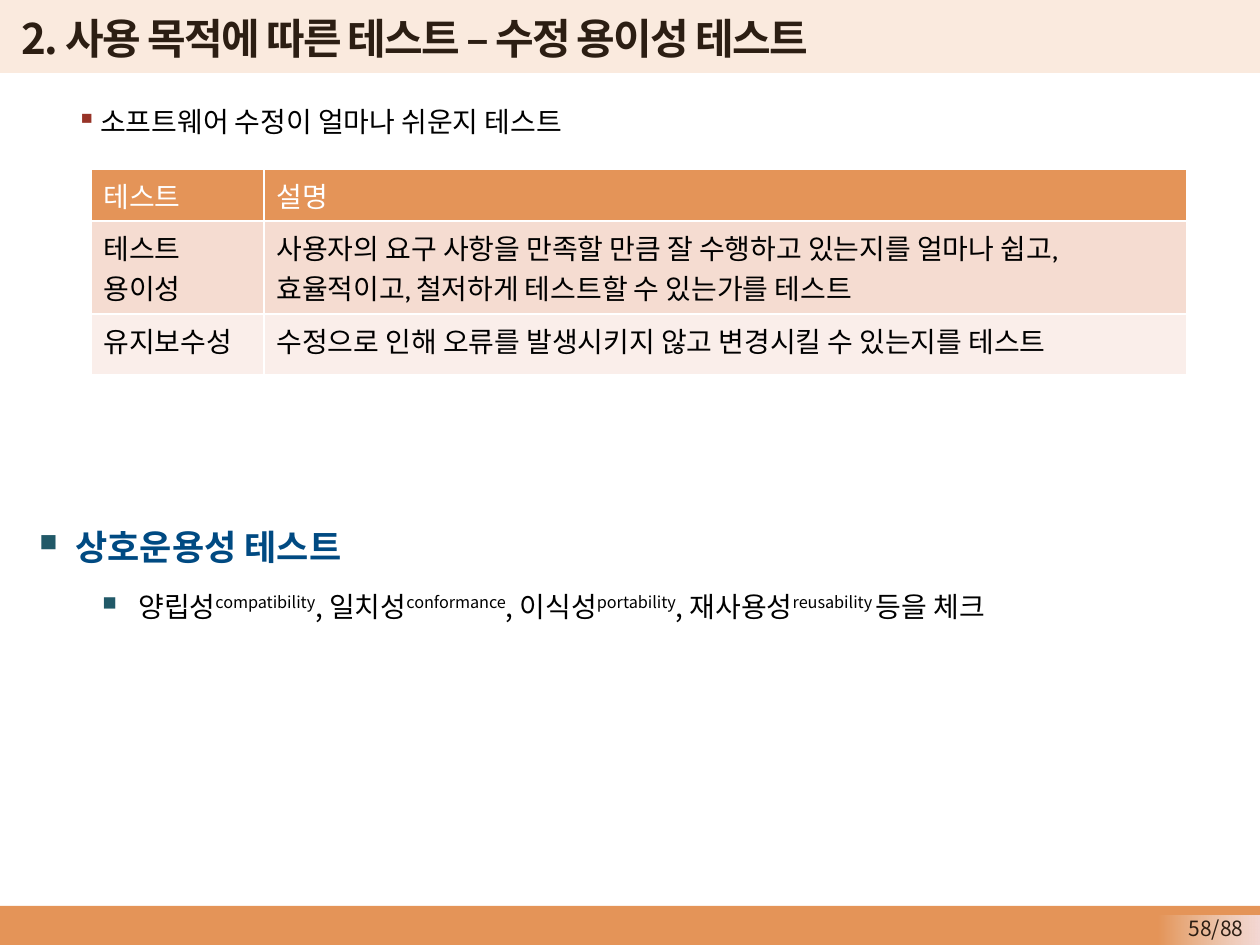
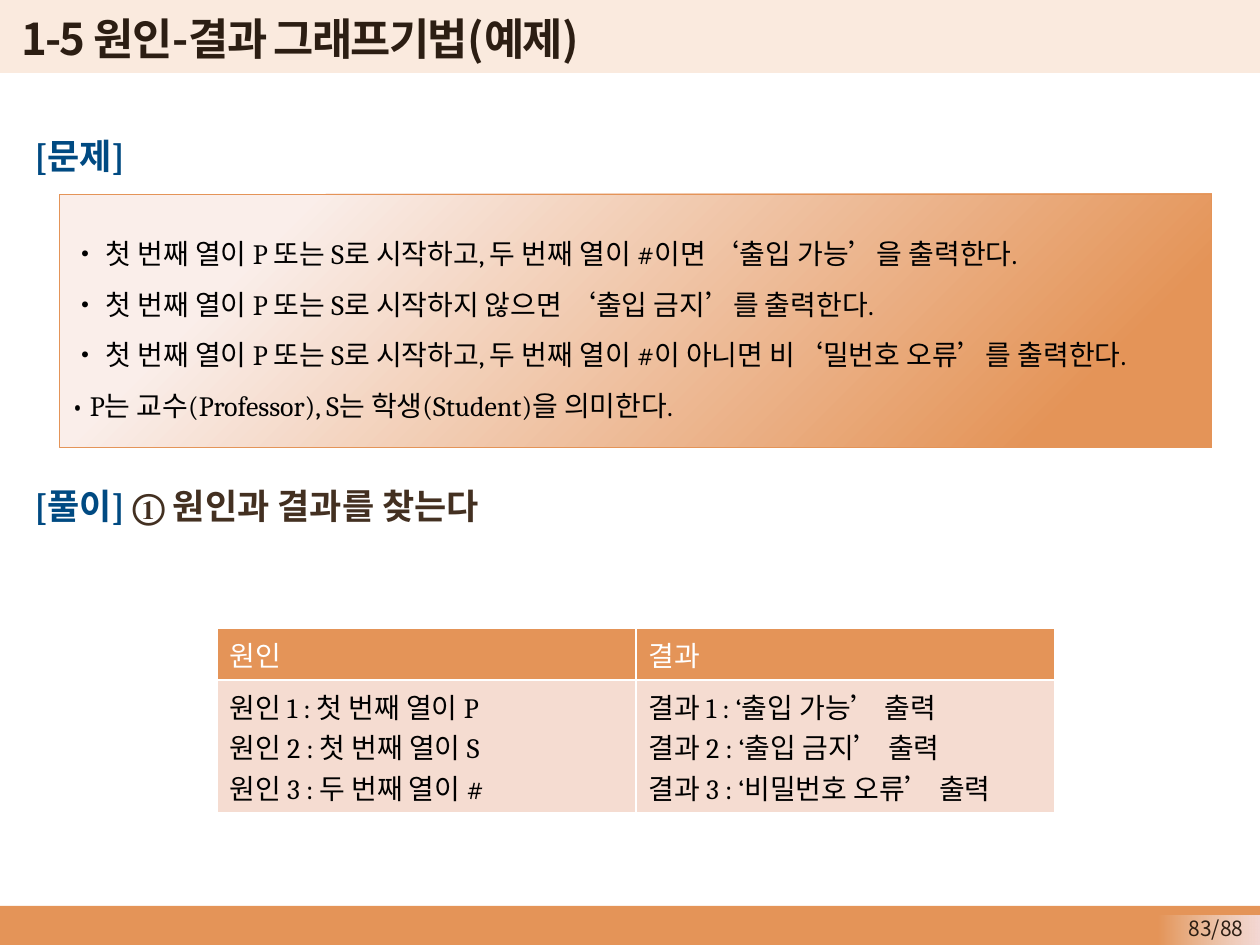
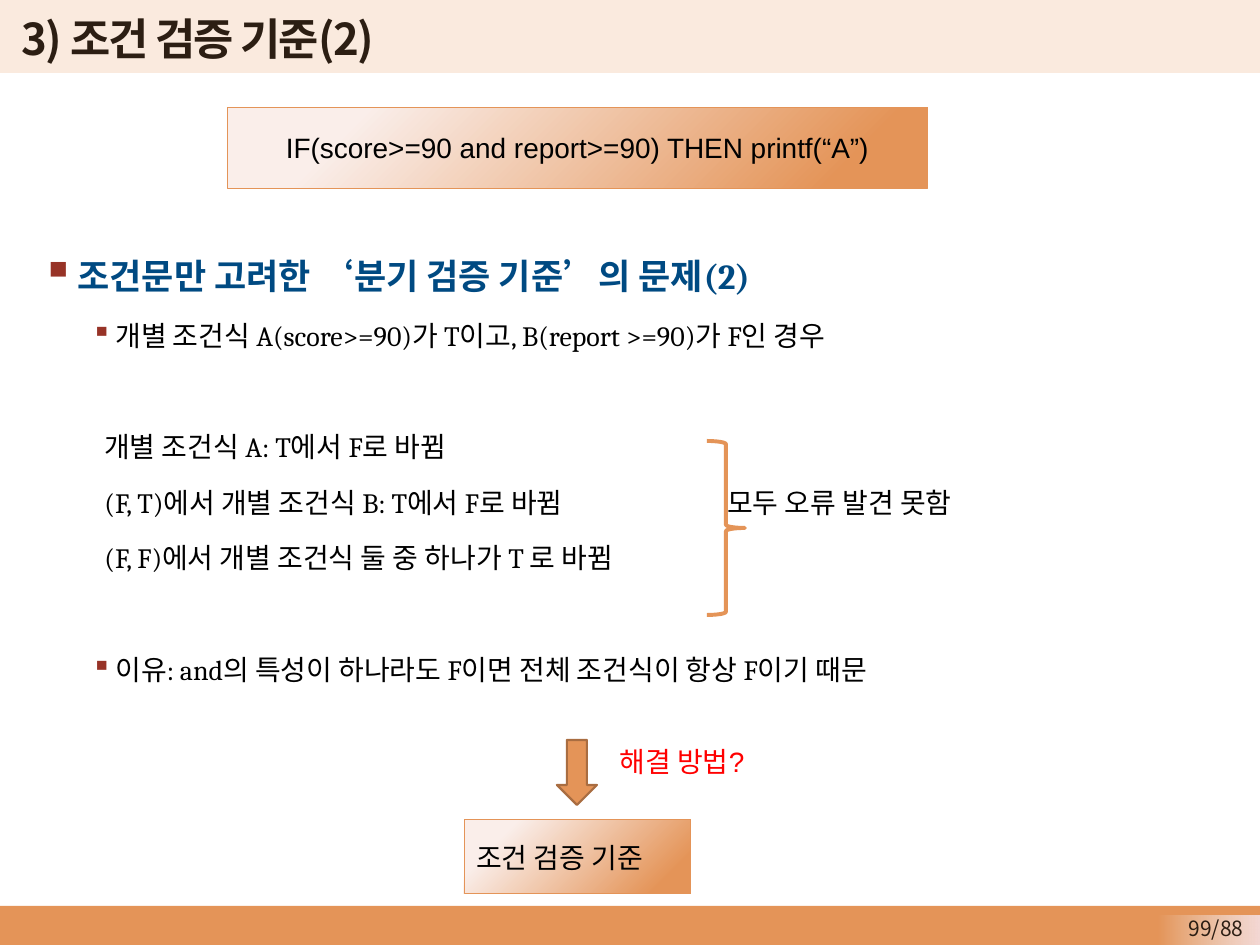
from dataclasses import dataclass, replace

from lxml.etree import SubElement
from pptx import Presentation
from pptx.dml.color import RGBColor
from pptx.enum.shapes import MSO_SHAPE
from pptx.enum.text import MSO_ANCHOR, PP_ALIGN
from pptx.oxml.ns import qn
from pptx.util import Emu, Pt

EMU_PER_INCH = 914400
PX_PER_INCH = 126
PAGE_WIDTH, PAGE_HEIGHT = 1260, 945
PAGE_TOTAL = 88

ORANGE = RGBColor(0xE4, 0x94, 0x58)
BROWN_LINE = RGBColor(0xA9, 0x6D, 0x41)
CREAM = RGBColor(0xFA, 0xEA, 0xDE)
PEACH = RGBColor(0xF5, 0xDC, 0xD1)
PALE = RGBColor(0xFA, 0xEE, 0xEA)
PINK = RGBColor(0xF4, 0xD9, 0xD6)
LIGHT_GRAY = RGBColor(0xF2, 0xF2, 0xF2)
DARK_BROWN = RGBColor(0x2C, 0x1E, 0x13)
BROWN = RGBColor(0x43, 0x30, 0x21)
NAVY = RGBColor(0x00, 0x4A, 0x82)
TEAL = RGBColor(0x21, 0x59, 0x68)
BRICK = RGBColor(0x97, 0x33, 0x27)
RED = RGBColor(0xFF, 0x00, 0x00)
BLACK = RGBColor(0x00, 0x00, 0x00)
WHITE = RGBColor(0xFF, 0xFF, 0xFF)

SANS = "Noto Sans CJK KR"
SERIF = "Cambria"


@dataclass(frozen=True)
class Style:
    """Look of one paragraph; margin and hanging are px, before is points."""
    size: int = 16
    font: str = SERIF
    color: RGBColor = BLACK
    bold: bool = False
    align: PP_ALIGN = PP_ALIGN.LEFT
    spacing: float = 1.0
    before: int = 0
    margin: int = 0
    hanging: int = 0
    bullet: str = ""
    bullet_color: RGBColor = BRICK
    bullet_size: int = 100
    tracking: int = 0


PLAIN = Style()
CENTERED = Style(font="Arial", align=PP_ALIGN.CENTER)
TITLE = Style(25, SANS, DARK_BROWN, True, tracking=-100)
PAGE_NUMBER = Style(12, SANS, DARK_BROWN, align=PP_ALIGN.RIGHT)
LABEL = Style(20, color=NAVY, bold=True, spacing=1.5, before=4, margin=13)
HEADING = replace(LABEL, margin=49, hanging=36, bullet="▪", bullet_size=130)
ITEM = Style(spacing=1.5, before=3, margin=87, hanging=24, bullet="▪")
CASE = Style(spacing=1.5, before=3, margin=76)
SQUARE_HEADING = replace(HEADING, font=SANS, bullet="■", bullet_color=TEAL, bullet_size=70)
SQUARE_ITEM = replace(SQUARE_HEADING, size=16, color=BLACK, bold=False, before=3, margin=112)


def px(length):
    """Turn px into EMU."""
    return Emu(round(length * EMU_PER_INCH / PX_PER_INCH))


def add_bullet(para, style):
    """Give the paragraph its coloured bullet."""
    props = para._p.get_or_add_pPr()
    color = SubElement(props, qn("a:buClr"))
    SubElement(color, qn("a:srgbClr"), val=str(style.bullet_color))
    size = SubElement(props, qn("a:buSzPct"), val=str(style.bullet_size * 1000))
    mark = SubElement(props, qn("a:buChar"), char=style.bullet)
    for part in (color, size, mark):
        para.font._element.addprevious(part)


def format_paragraph(para, style):
    """Apply a style to a paragraph."""
    font = para.font
    font.size, font.bold, font.name = Pt(style.size), style.bold, style.font
    font.color.rgb = style.color
    SubElement(font._element, qn("a:ea"), typeface=SANS)
    if style.tracking:
        font._element.set("spc", str(style.tracking))
    para.alignment = style.align
    para.line_spacing = style.spacing
    para.space_before = Pt(style.before)
    props = para._p.get_or_add_pPr()
    props.set("marL", str(px(style.margin)))
    props.set("indent", str(-px(style.hanging)))
    if style.bullet:
        add_bullet(para, style)


def write(frame, paragraphs):
    """Fill a text frame with (style, span, span, ...) paragraphs."""
    for number, (style, *spans) in enumerate(paragraphs):
        para = frame.add_paragraph() if number else frame.paragraphs[0]
        format_paragraph(para, style)
        for text in spans:
            para.add_run().text = text


def add_text(page, left, top, width, height, paragraphs, anchor=MSO_ANCHOR.TOP):
    """Add a wrapping text box and return its paragraphs."""
    frame = page.shapes.add_textbox(px(left), px(top), px(width), px(height)).text_frame
    frame.word_wrap = True
    frame.vertical_anchor = anchor
    write(frame, paragraphs)
    return frame.paragraphs


def add_preset(page, kind, left, top, width, height, fill=None, line=None, weight=1):
    """Add a flat preset shape."""
    shape = page.shapes.add_shape(kind, px(left), px(top), px(width), px(height))
    shape.shadow.inherit = False
    if fill is None:
        shape.fill.background()
    else:
        shape.fill.solid()
        shape.fill.fore_color.rgb = fill
    if line is None:
        shape.line.fill.background()
    else:
        shape.line.color.rgb = line
        shape.line.width = Pt(weight)
    return shape


def set_gradient(shape, angle, *stops):
    """Fill a shape with a linear gradient of two (position, colour) stops."""
    shape.fill.gradient()
    shape.fill.gradient_angle = angle
    for stop, (position, color) in zip(shape.fill.gradient_stops, stops):
        stop.position = position
        stop.color.rgb = color


def add_panel(page, left, top, width, height, paragraphs):
    """Add a gradient panel with text."""
    panel = add_preset(page, MSO_SHAPE.RECTANGLE, left, top, width, height, ORANGE, ORANGE, 0.5)
    set_gradient(panel, 315, (0.18, PALE), (0.87, ORANGE))
    panel.text_frame.word_wrap = True
    panel.text_frame.vertical_anchor = MSO_ANCHOR.MIDDLE
    write(panel.text_frame, paragraphs)


def fill_cell(cell, lines, fill, color):
    """Write a table cell with white borders."""
    props = cell._tc.get_or_add_tcPr()
    for side in ("lnL", "lnR", "lnT", "lnB"):
        border = SubElement(props, qn(f"a:{side}"), w=str(Pt(1)))
        SubElement(SubElement(border, qn("a:solidFill")), qn("a:srgbClr"), val=str(WHITE))
    cell.fill.solid()
    cell.fill.fore_color.rgb = fill
    write(cell.text_frame, [(replace(PLAIN, color=color), line) for line in lines.split("\n")])


def add_grid(page, left, top, widths, heights, rows):
    """Add a table with a header row and alternating body fills."""
    frame = page.shapes.add_table(len(heights), len(widths), px(left), px(top),
                                  px(sum(widths)), px(sum(heights)))
    table = frame.table
    table.first_row = table.horz_banding = False
    for column, width in zip(table.columns, widths):
        column.width = px(width)
    for number, (row, height, texts) in enumerate(zip(table.rows, heights, rows)):
        row.height = px(height)
        fill = (PEACH if number % 2 else PALE) if number else ORANGE
        for cell, text in zip(row.cells, texts):
            fill_cell(cell, text, fill, BLACK if number else WHITE)


def add_page(deck, title, number, title_style=TITLE):
    """Add a page with title band, footer band and page number."""
    page = deck.slides.add_slide(deck.slide_layouts[6])
    add_preset(page, MSO_SHAPE.RECTANGLE, 0, 906, PAGE_WIDTH, 39, ORANGE)
    add_preset(page, MSO_SHAPE.RECTANGLE, 0, 0, PAGE_WIDTH, 73, CREAM)
    chip = add_preset(page, MSO_SHAPE.RECTANGLE, 1159, 916, 101, 29, PINK)
    set_gradient(chip, 180, (0, PINK), (1, LIGHT_GRAY))
    SubElement(chip._element.xpath(".//a:gs/a:srgbClr")[1], qn("a:alpha"), val="0")
    add_text(page, 1140, 909, 116, 29, [(PAGE_NUMBER, f"{number}/{PAGE_TOTAL}")])
    add_text(page, 9, 5, 1222, 66, [(title_style, title)], MSO_ANCHOR.MIDDLE)
    return page


def build_modifiability(deck):
    """Build the page on modifiability tests."""
    page = add_page(deck, "2. 사용 목적에 따른 테스트 – 수정 용이성 테스트", 58, replace(TITLE, size=24))
    add_text(page, 1, 82, 1235, 70, [(ITEM, "소프트웨어 수정이 얼마나 쉬운지 테스트")])
    add_grid(page, 91, 169, (173, 923), (52, 93, 61), (
        ("테스트", "설명"),
        ("테스트\n용이성", "사용자의 요구 사항을 만족할 만큼 잘 수행하고 있는지를 얼마나 쉽고,\n"
                      "효율적이고, 철저하게 테스트할 수 있는가를 테스트"),
        ("유지보수성", "수정으로 인해 오류를 발생시키지 않고 변경시킬 수 있는지를 테스트"),
    ))
    checks = add_text(page, 14, 498, 1191, 134, [
        (SQUARE_HEADING, "상호운용성 테스트"),
        (SQUARE_ITEM, "양립성", "compatibility", ", 일치성", "conformance", ", 이식성",
         "portability", ", 재사용성", "reusability ", "등을 체크"),
    ])[1]
    for span in checks.runs[1::2]:
        span._r.get_or_add_rPr().set("baseline", "30000")


def build_cause_effect(deck):
    """Build the page with the cause-effect graph example."""
    page = add_page(deck, "1-5 원인-결과 그래프기법(예제)", 83)
    add_text(page, 9, 107, 1235, 75, [(LABEL, "[문제]")])
    rules = (
        "• 첫 번째 열이 P 또는 S로 시작하고, 두 번째 열이 #이면 ‘출입 가능’을 출력한다.",
        "• 첫 번째 열이 P 또는 S로 시작하지 않으면 ‘출입 금지’를 출력한다.",
        "• 첫 번째 열이 P 또는 S로 시작하고, 두 번째 열이 #이 아니면 비‘밀번호 오류’를 출력한다.",
        "• P는 교수(Professor), S는 학생(Student)을 의미한다.",
    )
    add_panel(page, 59, 194, 1153, 254, [(replace(PLAIN, spacing=1.5), rule) for rule in rules])
    solution = add_text(page, 9, 457, 1235, 75, [(LABEL, "[풀이] ", "① 원인과 결과를 찾는다")])[0]
    solution.runs[1].font.color.rgb = BROWN
    add_grid(page, 217, 628, (419, 419), (52, 133), (
        ("원인", "결과"),
        ("원인 1 : 첫 번째 열이 P\n원인 2 : 첫 번째 열이 S\n원인 3 : 두 번째 열이 #",
         "결과 1 : ‘출입 가능’ 출력\n결과 2 : ‘출입 금지’ 출력\n결과 3 : ‘비밀번호 오류’ 출력"),
    ))


def build_condition(deck):
    """Build the page on the condition coverage criterion."""
    page = add_page(deck, "3) 조건 검증 기준(2)", 99)
    add_text(page, 16, 227, 1235, 490, [
        (HEADING, "조건문만 고려한 ‘분기 검증 기준’의 문제(2)"),
        (ITEM, "개별 조건식 A(score>=90)가 T이고, B(report >=90)가 F인 경우"),
        (replace(CASE, before=35), "개별 조건식 A: T에서 F로 바뀜"),
        (CASE, "(F, T)에서 개별 조건식 B: T에서 F로 바뀜"),
        (CASE, "(F, F)에서 개별 조건식 둘 중 하나가 T 로 바뀜"),
        (replace(ITEM, before=35), "이유: and의 특성이 하나라도 F이면 전체 조건식이 항상 F이기 때문"),
    ])
    add_text(page, 715, 463, 300, 65, [(replace(CASE, margin=0), "모두 오류 발견 못함")])
    add_panel(page, 227, 107, 701, 81, [
        (CENTERED, "IF(score>=90 and report>=90) THEN printf(“A”)"),
    ])
    add_preset(page, MSO_SHAPE.RIGHT_BRACE, 707, 441, 38, 174, line=ORANGE, weight=2.25)
    add_preset(page, MSO_SHAPE.DOWN_ARROW, 557, 740, 40, 65, ORANGE, BROWN_LINE, 1.25)
    add_text(page, 597, 740, 170, 42, [(replace(CENTERED, color=RED), "해결 방법?")],
             MSO_ANCHOR.MIDDLE)
    add_panel(page, 464, 820, 227, 74, [(PLAIN, "조건 검증 기준")])


def main():
    """Build and save the deck."""
    deck = Presentation()
    deck.slide_width, deck.slide_height = px(PAGE_WIDTH), px(PAGE_HEIGHT)
    build_modifiability(deck)
    build_cause_effect(deck)
    build_condition(deck)
    deck.save("out.pptx")


if __name__ == "__main__":
    main()
